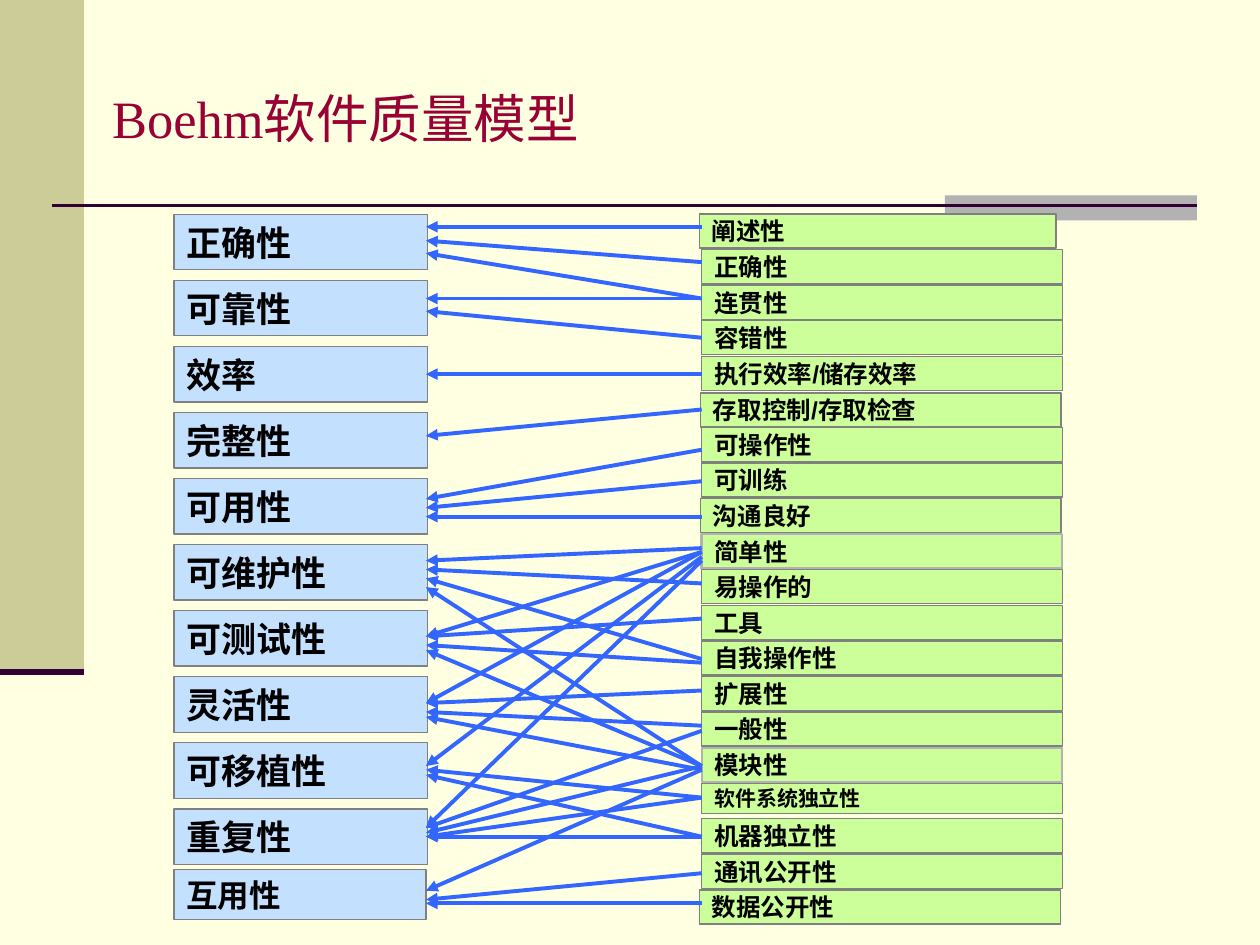
from pptx import Presentation
from pptx import util as u
from pptx.dml.color import RGBColor
from pptx.enum import shapes, text
from pptx.oxml.ns import qn
from lxml import etree

Pt = u.Pt

# Content
TITLE = "Boehm软件质量模型"
GOALS = ["正确性", "可靠性", "效率", "完整性", "可用性", "可维护性",
         "可测试性", "灵活性", "可移植性", "重复性", "互用性"]
TRAITS = ["阐述性", "正确性", "连贯性", "容错性", "执行效率/储存效率",
          "存取控制/存取检查", "可操作性", "可训练", "沟通良好", "简单性",
          "易操作的", "工具", "自我操作性", "扩展性", "一般性", "模块性",
          "软件系统独立性", "机器独立性", "通讯公开性", "数据公开性"]

# Boxes that differ from the grid, by index
GOAL_ODD = {10: dict(y=496.8, w=144, h=28.8, size=18)}
TRAIT_ODD = {0: dict(x=399.6, w=203.8),
             5: dict(x=400.3, y=224.6),
             8: dict(x=400.3),
             9: dict(edge="B2B2B2", weight=1.5),
             15: dict(edge="B2B2B2", weight=1.25),
             16: dict(h=17.3, size=12),
             19: dict(x=399.6, w=206.6)}

# Arrows by goal: (height at trait, height at goal)
LINKS = {
    "正确性": [(129.6, 129.6), (149.8, 137.5), (170.6, 144.7)],
    "可靠性": [(170.6, 170.6), (193, 177.8)],
    "效率": [(213.8, 213.8)],
    "完整性": [(234, 249.1)],
    "可用性": [(257, 285.1), (275, 290.2), (295.2, 295.2)],
    "可维护性": [(313.2, 320.4), (333.4, 325.4), (376.6, 330.5), (437.8, 335.5)],
    "可测试性": [(315.4, 363.6), (353.5, 363.6), (378.7, 368.6), (437.8, 371.5)],
    "灵活性": [(315.4, 401.8), (394.6, 401.8), (414.7, 406.8), (439.9, 409.7)],
    "可移植性": [(318.2, 437.8), (455.8, 439.9), (478.1, 442.8)],
    "重复性": [(320.4, 473), (417.6, 473), (437.8, 475.9), (455.8, 478.1),
            (478.1, 478.1)],
    "互用性": [(439.9, 509), (499, 514.1), (516.2, 516.2)],
}

deck = Presentation()
deck.slide_width, deck.slide_height = Pt(720), Pt(540)
slide = deck.slides.add_slide(deck.slide_layouts[6])


def tint(code):
    return RGBColor.from_string(code)


def write(shape, words, size=14, font="Arial", color="000000", bold=True, pad=3.6):
    frame = shape.text_frame
    frame.word_wrap = True
    frame.vertical_anchor = text.MSO_ANCHOR.MIDDLE
    frame.margin_left = frame.margin_right = Pt(7.2)
    frame.margin_top = frame.margin_bottom = Pt(pad)
    para = frame.paragraphs[0]
    para.alignment = text.PP_ALIGN.LEFT
    run = para.add_run()
    run.text = words
    run.font.size, run.font.name, run.font.bold = Pt(size), font, bold
    run.font.color.rgb = tint(color)


def block(x, y, w, h, fill, edge=None, weight=0.75):
    shape = slide.shapes.add_shape(shapes.MSO_SHAPE.RECTANGLE,
                                   Pt(x), Pt(y), Pt(w), Pt(h))
    shape.shadow.inherit = False
    shape.fill.solid()
    shape.fill.fore_color.rgb = tint(fill)
    if edge:
        shape.line.color.rgb = tint(edge)
        shape.line.width = Pt(weight)
    else:
        shape.line.fill.background()
    return shape


def rule(x1, y1, x2, y2, color, weight, arrow=False):
    line = slide.shapes.add_connector(shapes.MSO_CONNECTOR.STRAIGHT,
                                      Pt(x1), Pt(y1), Pt(x2), Pt(y2))
    line.line.color.rgb = tint(color)
    line.line.width = Pt(weight)
    if arrow:
        etree.SubElement(line.line._get_or_add_ln(), qn("a:tailEnd"), type="triangle")
    etree.SubElement(line._element.spPr, qn("a:effectLst"))


def column(names, odd, top, step, base, pad):
    for i, name in enumerate(names):
        box = {**base, "y": top + i * step, **odd.get(i, {})}
        size = box.pop("size")
        write(block(**box), name, size=size, pad=pad)


# Backdrop
slide.background.fill.solid()
slide.background.fill.fore_color.rgb = tint("FFFFE1")
block(0, 0, 48, 384, "CCCC99")
block(540, 111.6, 144, 14.4, "B2B2B2")
rule(30, 117.6, 684, 117.6, "330033", 1.5)
rule(0, 384, 48, 384, "330033", 3.5)

# Title
head = slide.shapes.add_textbox(Pt(57), Pt(43.2), Pt(472), Pt(47.5))
write(head, TITLE, size=30, font="Times New Roman", color="990033", bold=False)

# Goals on the left, traits on the right
column(GOALS, GOAL_ODD, 122.5, 37.75,
       dict(x=99.4, w=144.7, h=31.7, fill="C3E1FF", edge="808080", size=20), 3.6)
column(TRAITS, TRAIT_ODD, 122.3, 20.33,
       dict(x=401, w=206, h=19.5, fill="CCFF99", edge="808080", size=14), 1.4)

# Arrows from traits to goals
for pairs in LINKS.values():
    for start, end in pairs:
        rule(401, start, 243.4, end, "3366FF", 2.25, arrow=True)

deck.save("out.pptx")
